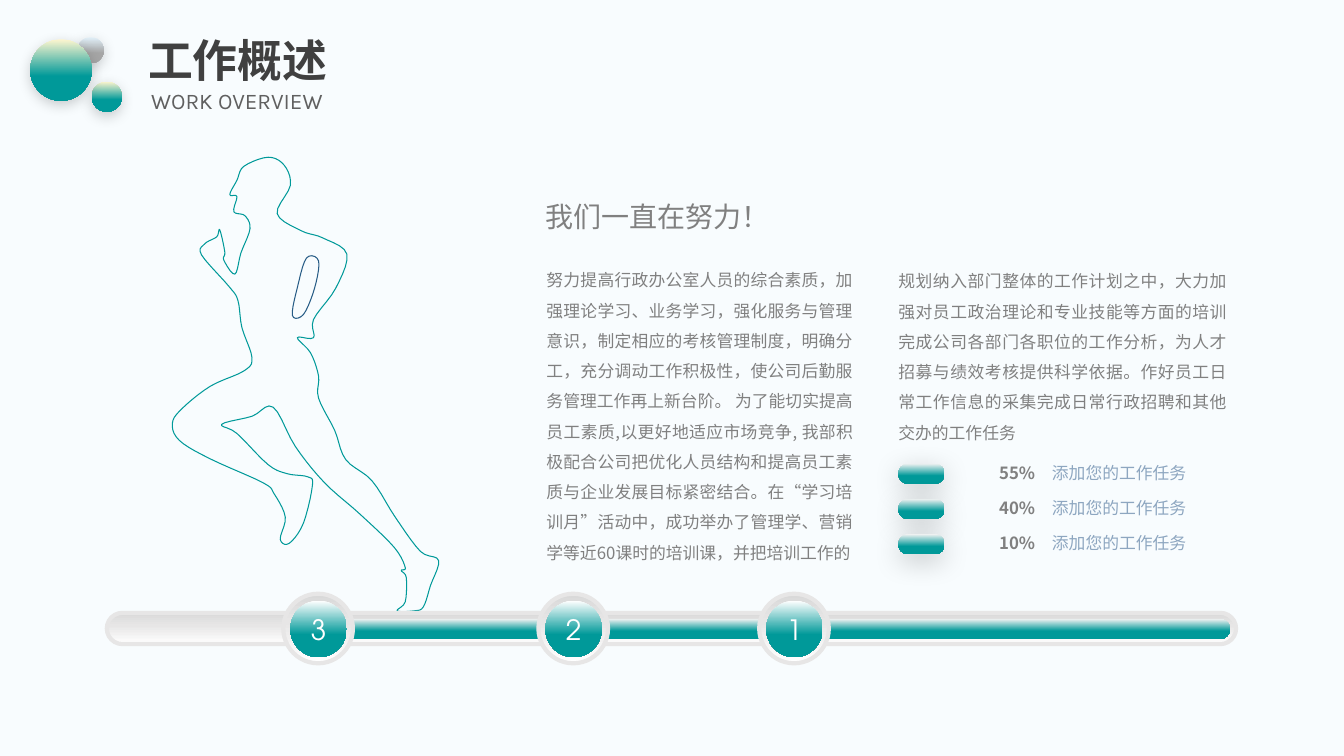
"""Build the work overview slide with a runner and a three-step progress track."""
from lxml.etree import SubElement
from pptx import Presentation
from pptx.dml.color import RGBColor
from pptx.enum.shapes import MSO_SHAPE
from pptx.enum.text import MSO_ANCHOR, PP_ALIGN
from pptx.oxml import parse_xml
from pptx.oxml.ns import nsdecls, qn
from pptx.util import Inches, Pt

TEAL = RGBColor(0x00, 0x99, 0x99)
NAVY = RGBColor(0x26, 0x5B, 0x85)
GRAY = RGBColor(0x80, 0x80, 0x80)
DARK = RGBColor(0x40, 0x40, 0x40)
SUBTITLE = RGBColor(0x60, 0x60, 0x60)
SOFT_BLUE = RGBColor(0x8D, 0xA6, 0xC0)
RIM = RGBColor(0xE7, 0xE6, 0xE6)
SILVER = RGBColor(0xA5, 0xA5, 0xA5)
PALE_BLUE = RGBColor(0xE1, 0xF0, 0xF9)
CREAM = RGBColor(0xFF, 0xF6, 0xCF)
PALE = RGBColor(0xF2, 0xF2, 0xF2)
LIGHT_GRAY = RGBColor(0xD9, 0xD9, 0xD9)
WHITE = RGBColor(0xFF, 0xFF, 0xFF)
BACKGROUND = RGBColor(0xF8, 0xFC, 0xFE)
CJK = "Noto Sans CJK SC"

RUNNER = [
    (2.2, 4.21), (2.35, 4.3), (2.66, 4.61), (2.85, 4.7), (3.05, 4.73), (3.1, 4.81), (3.01, 5.19),
    (2.87, 5.39), (2.78, 5.35), (2.83, 5.13), (2.72, 4.9), (2.61, 4.79), (2.08, 4.55), (1.78, 4.37),
    (1.71, 4.2), (1.81, 4.05), (2.09, 3.83), (2.42, 3.68), (2.5, 3.55), (2.4, 3.25), (2.36, 2.98),
    (2.27, 2.84), (2, 2.53), (2.03, 2.42), (2.15, 2.35), (2.18, 2.28), (2.23, 2.5), (2.22, 2.58),
    (2.33, 2.72), (2.39, 2.51), (2.48, 2.27), (2.43, 2.14), (2.32, 2.1), (2.35, 1.95), (2.28, 1.93),
    (2.35, 1.79), (2.42, 1.65), (2.66, 1.56), (2.82, 1.64), (2.88, 1.84), (2.75, 2.12), (2.99, 2.29),
    (3.2, 2.36), (3.44, 2.52), (3.33, 2.86), (3.11, 3.17), (3.11, 3.35), (2.95, 3.35), (3.08, 3.5),
    (3.16, 3.73), (3.16, 3.95), (3.32, 4.27), (3.43, 4.56), (3.69, 4.77), (3.92, 5.13), (4.17, 5.47),
    (4.35, 5.56), (4.27, 5.81), (4.2, 6.02), (4.11, 6.06), (3.94, 6.06), (4.02, 5.97), (4.03, 5.73),
    (3.98, 5.66), (4.02, 5.63), (3.91, 5.43), (3.57, 5.1), (3.22, 4.79), (2.93, 4.43), (2.71, 4.04),
    (2.5, 4.13),
]
ARM_GAP = [(3.04, 2.56), (3.16, 2.59), (3.12, 2.86), (3.01, 3.12), (2.9, 3.13), (2.95, 2.85)]
DUTIES = ("努力提高行政办公室人员的综合素质，加强理论学习、业务学习，强化服务与管理意识，"
          "制定相应的考核管理制度，明确分工，充分调动工作积极性，使公司后勤服务管理工作再上新台阶。 "
          "为了能切实提高员工素质,以更好地适应市场竞争, 我部积极配合公司把优化人员结构和提高员工素质"
          "与企业发展目标紧密结合。在“学习培训月”活动中，成功举办了管理学、营销学等近60课时的培训课，"
          "并把培训工作的")
PLANS = ("规划纳入部门整体的工作计划之中，大力加强对员工政治理论和专业技能等方面的培训"
         "完成公司各部门各职位的工作分析，为人才招募与绩效考核提供科学依据。"
         "作好员工日常工作信息的采集完成日常行政招聘和其他交办的工作任务")

prs = Presentation()
prs.slide_width, prs.slide_height = Inches(13.33), Inches(7.5)
s = prs.slides.add_slide(prs.slide_layouts[6])
s.background.fill.solid()
s.background.fill.fore_color.rgb = BACKGROUND


def add_glossy(kind, box, colors, angle=90, shadow=None, rim=False):
    sp = s.shapes.add_shape(kind, *map(Inches, box))
    sp.shadow.inherit = False
    if kind == MSO_SHAPE.ROUNDED_RECTANGLE:
        sp.adjustments[0] = 0.5
    stops = "".join(f'<a:gs pos="{pos}"><a:srgbClr val="{c}"/></a:gs>'
                    for pos, c in zip((0, 60000, 100000), colors))
    sp.fill.background()
    pr = sp.element.spPr
    pr.replace(pr.find(qn("a:noFill")), parse_xml(
        f'<a:gradFill {nsdecls("a")}><a:gsLst>{stops}</a:gsLst>'
        f'<a:lin ang="{angle * 60000}" scaled="0"/></a:gradFill>'))
    if rim:
        sp.line.color.rgb = RIM
        sp.line.width = Pt(3)
    else:
        sp.line.fill.background()
    if shadow:
        blur, dist = shadow
        pr.find(qn("a:effectLst")).append(parse_xml(
            f'<a:outerShdw {nsdecls("a")} blurRad="{Pt(blur)}" dist="{Pt(dist)}" dir="5400000" '
            'algn="t" rotWithShape="0"><a:srgbClr val="000000"><a:alpha val="20000"/>'
            '</a:srgbClr></a:outerShdw>'))
    return sp


def add_text(sp, runs, size, font=CJK, align=PP_ALIGN.LEFT, spacing=1.0, anchor=MSO_ANCHOR.MIDDLE, wrap=True):
    tf = sp.text_frame
    tf.word_wrap, tf.vertical_anchor = wrap, anchor
    tf.margin_left = tf.margin_right = tf.margin_top = tf.margin_bottom = Inches(0.03)
    p = tf.paragraphs[0]
    p.alignment, p.line_spacing = align, spacing
    for text, color, bold in runs:
        r = p.add_run()
        r.text = text
        r.font.size, r.font.name, r.font.bold = Pt(size), font, bold
        r.font.color.rgb = color
        SubElement(r.font._element, qn("a:ea")).set("typeface", CJK)


for x, y, d, top, base in [(0.77, 0.37, 0.26, PALE_BLUE, SILVER), (0.91, 0.81, 0.3, CREAM, TEAL),
                           (0.3, 0.39, 0.61, CREAM, TEAL)]:
    add_glossy(MSO_SHAPE.OVAL, (x, y, d, d), (top, base, base), shadow=(10, 3))

for outline, color in [(RUNNER, TEAL), (ARM_GAP, NAVY)]:
    points = []
    for i in range(len(outline)):
        before, start, end, after = (outline[(i + k) % len(outline)] for k in (-1, 0, 1, 2))
        for t in (0, 0.2, 0.4, 0.6, 0.8):
            points.append([Inches(b + t / 2 * (c - a + t * (2 * a - 5 * b + 4 * c - d
                                                            + t * (3 * b - a - 3 * c + d))))
                           for a, b, c, d in zip(before, start, end, after)])
    builder = s.shapes.build_freeform(*points[0])
    builder.add_line_segments(points[1:], close=True)
    sp = builder.convert_to_shape()
    sp.shadow.inherit = False
    sp.fill.background()
    sp.line.color.rgb, sp.line.width = color, Pt(0.75)

for box, text in [((5.39, 2.55, 3.1, 3.09), DUTIES), ((8.88, 2.56, 3.32, 1.87), PLANS)]:
    add_text(s.shapes.add_textbox(*map(Inches, box)), [(text, GRAY, False)], 12,
             align=PP_ALIGN.JUSTIFY, spacing=1.5, anchor=MSO_ANCHOR.TOP)
for box, text, color, size, font, bold, spacing in [
        ((5.38, 1.95, 2.3, 0.39), "我们一直在努力！", GRAY, 20, CJK, False, 1.0),
        ((1.44, 0.33, 11.36, 0.59), "工作概述", DARK, 32, "Karla", True, 0.9),
        ((1.47, 0.84, 9.03, 0.34), "WORK OVERVIEW", SUBTITLE, 16, "Karla", False, 0.9)]:
    add_text(s.shapes.add_textbox(*map(Inches, box)), [(text, color, bold)], size, font, spacing=spacing)

for i, percent in enumerate(("55%", "40%", "10%")):
    y = 4.6 + 0.35 * i
    add_glossy(MSO_SHAPE.ROUNDED_RECTANGLE, (8.91, y, 0.46, 0.2), (PALE, TEAL, TEAL), shadow=(20, 5))
    add_text(s.shapes.add_textbox(*map(Inches, (9.88, y - 0.02, 2.22, 0.24))),
             [(percent + "　", GRAY, True), ("添加您的工作任务", SOFT_BLUE, False)], 12, spacing=0.9)

groove = (WHITE, RIM, LIGHT_GRAY)
add_glossy(MSO_SHAPE.ROUNDED_RECTANGLE, (1.06, 6.08, 11.2, 0.31), groove, 270, rim=True)
for x, w in [(3.42, 2.06), (5.9, 1.77), (8.09, 4.11)]:
    add_glossy(MSO_SHAPE.ROUNDED_RECTANGLE, (x, 6.14, w, 0.2), (PALE, TEAL, TEAL))
for x, step in [(5.34, "2"), (2.81, "3"), (7.53, "1")]:
    add_glossy(MSO_SHAPE.OVAL, (x, 5.89, 0.69, 0.69), groove, 270, rim=True)
    sp = add_glossy(MSO_SHAPE.OVAL, (x + 0.07, 5.96, 0.56, 0.56), (WHITE, TEAL, TEAL))
    add_text(sp, [(step, WHITE, False)], 20, "TeX Gyre Adventor", PP_ALIGN.CENTER)

prs.save("out.pptx")
